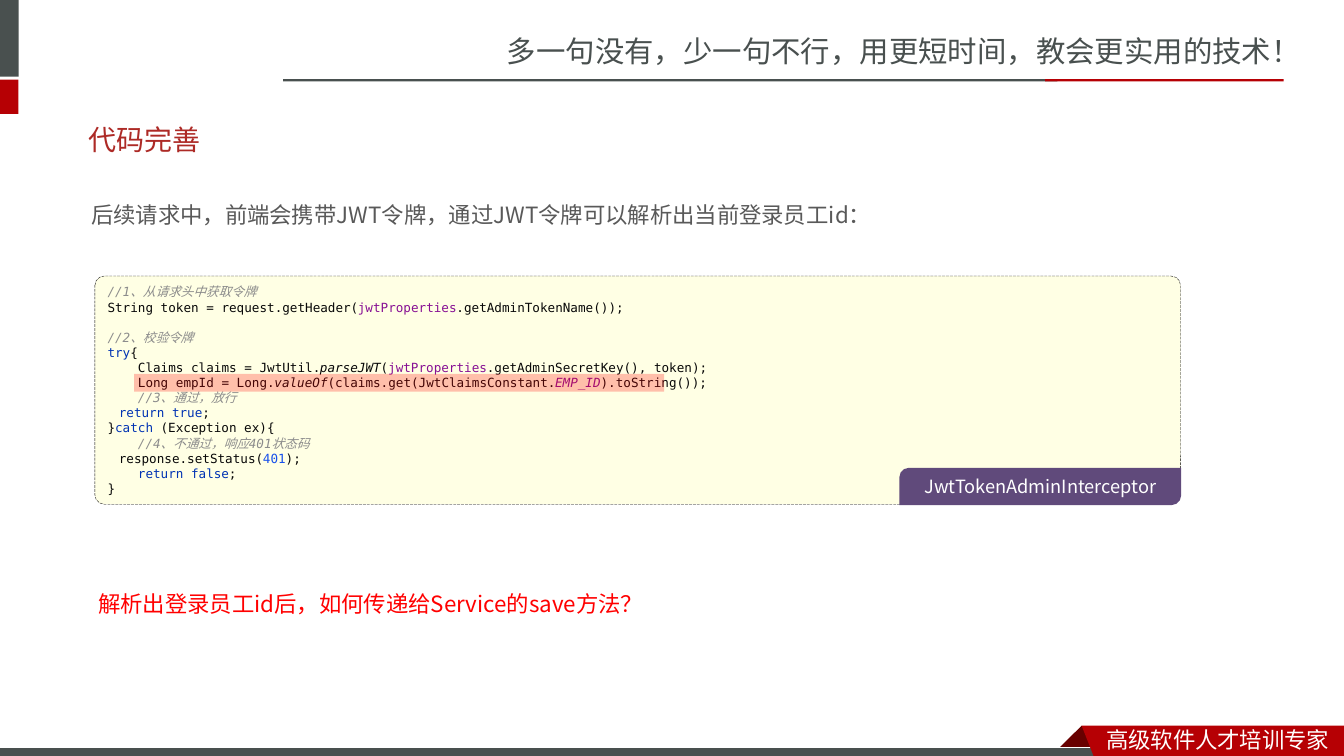
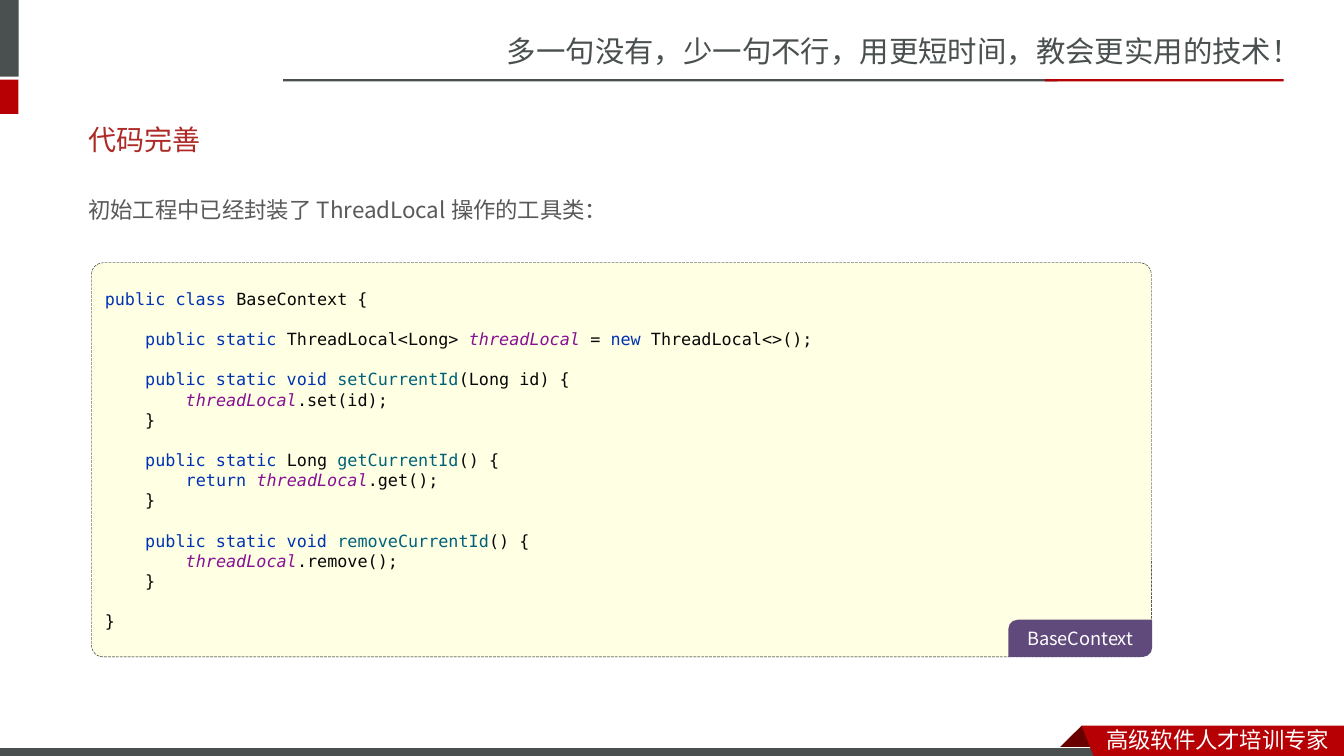
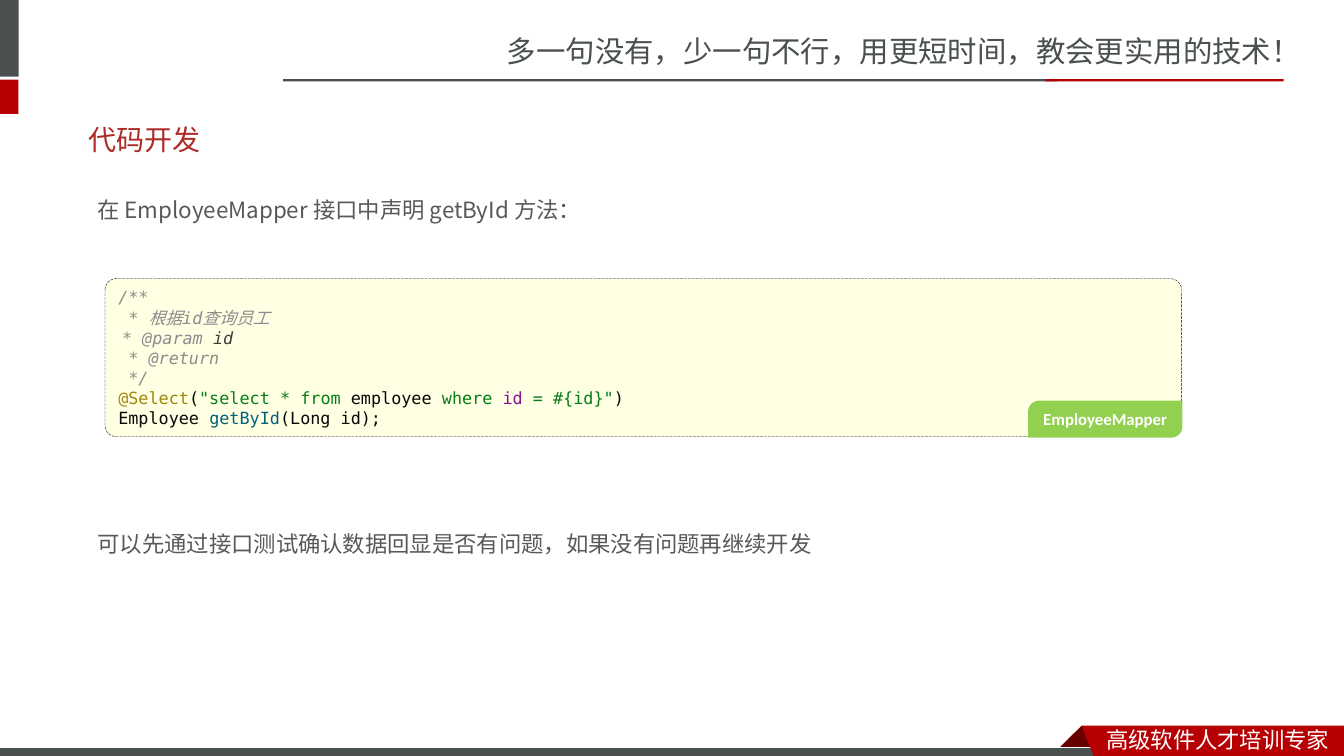
from dataclasses import dataclass

from lxml import etree
from pptx import Presentation
from pptx.dml.color import RGBColor as Color
from pptx.enum.dml import MSO_LINE as Dash
from pptx.enum.shapes import MSO_SHAPE as Preset
from pptx.enum.text import MSO_ANCHOR as Anchor, MSO_AUTO_SIZE as AutoSize, PP_ALIGN as Align
from pptx.oxml.ns import qn
from pptx.util import Pt


@dataclass(frozen=True)
class Theme:
    slate: str = "49504F"
    red: str = "B60004"
    fold: str = "680000"
    white: str = "FFFFFF"
    title: str = "AD2A26"
    body: str = "595959"
    alert: str = "FF0000"
    paper: str = "FFFFE4"
    black: str = "000000"
    code: str = "080808"
    comment: str = "8C8C8C"
    purple: str = "604A7B"
    green: str = "92D050"
    latin: str = "Calibri"
    mono: str = "DejaVu Sans Mono"
    cjk: str = "Noto Sans CJK SC"
    cjk_body: str = "Noto Sans CJK JP"
    header_size: float = 21
    title_size: float = 20
    body_size: float = 16
    tag_size: float = 13
    code_leading: float = 1.2


THEME = Theme()

CODE_STYLES = {
    "keyword": {"color": "0033B3"},
    "comment": {"color": THEME.comment, "italic": True},
    "note": {"color": THEME.comment, "italic": True, "font": THEME.cjk},
    "param": {"color": "3D3D3D", "italic": True},
    "field": {"color": "871094"},
    "constant": {"color": "871094", "italic": True},
    "method": {"color": "00627A"},
    "call": {"italic": True},
    "number": {"color": "1750EB"},
    "annotation": {"color": "9E880D"},
    "string": {"color": "067D17"},
    "star": {"color": "067D17", "italic": True},
}

INTERCEPTOR_CODE = """\
«comment://1»«note:、从请求头中获取令牌»
String token = request.getHeader(«field:jwtProperties».getAdminTokenName());

«comment://2»«note:、校验令牌»
«keyword:try»{
    Claims claims = JwtUtil.«call:parseJWT»(«field:jwtProperties».getAdminSecretKey(), token);
    Long empId = Long.«call:valueOf»(claims.get(JwtClaimsConstant.«constant:EMP_ID»).toString());
    «comment://3»«note:、通过，放行»
«note:    »«keyword:return true»;
}«keyword:catch »(Exception ex){
    «comment://4»«note:、不通过，响应»«comment:401»«note:状态码»
«note:    »response.setStatus(«number:401»);
    «keyword:return false»;
}"""

CONTEXT_CODE = """\
«keyword:public class »BaseContext {

    «keyword:public static »ThreadLocal<Long> «constant:threadLocal »= «keyword:new »ThreadLocal<>();

    «keyword:public static void »«method:setCurrentId»(Long id) {
        «constant:threadLocal».set(id);
    }

    «keyword:public static »Long «method:getCurrentId»() {
        «keyword:return »«constant:threadLocal».get();
    }

    «keyword:public static void »«method:removeCurrentId»() {
        «constant:threadLocal».remove();
    }

}"""

MAPPER_CODE = """\
«comment:/**»
«comment: * »«note:根据»«comment:id»«note:查询员工»
«note: »«comment:* @param »«param:id»
«param: »«comment:* @return»
«comment: */»
«annotation:@Select»(«string:"select »«star:* »«string:from »employee «string:where »«field:id »«string:= #{id}"»)
Employee «method:getById»(Long id);"""


def add_span(para, text, *, font, size, color, bold=False, italic=False):
    span = para.add_run()
    span.text = text
    span.font.name = font
    span.font.size = Pt(size)
    span.font.bold = bold
    span.font.italic = italic
    span.font.color.rgb = Color.from_string(color)
    east_asian = etree.SubElement(span._r.get_or_add_rPr(), qn("a:ea"))
    east_asian.set("typeface", font)


def write_text(shape, text, *, align=Align.LEFT, anchor=Anchor.TOP, spacing=1.0, **style):
    frame = shape.text_frame
    frame.word_wrap = True
    frame.auto_size = AutoSize.NONE
    frame.vertical_anchor = anchor
    para = frame.paragraphs[0]
    para.alignment = align
    para.line_spacing = spacing
    add_span(para, text, **style)


def add_text(page, text, at, **style):
    box = page.shapes.add_textbox(*map(Pt, at))
    write_text(box, text, **style)
    return box


def paint(shape, fill, line=None, width=0.75):
    shape.shadow.inherit = False
    shape.fill.solid()
    shape.fill.fore_color.rgb = Color.from_string(fill)
    if line:
        shape.line.color.rgb = Color.from_string(line)
        shape.line.width = Pt(width)
    else:
        shape.line.fill.background()
    return shape


def add_block(page, at, fill, preset=Preset.RECTANGLE, **outline):
    return paint(page.shapes.add_shape(preset, *map(Pt, at)), fill, **outline)


def add_outline(page, points, fill):
    corners = [(Pt(x), Pt(y)) for x, y in points]
    builder = page.shapes.build_freeform(*corners[0], scale=1.0)
    builder.add_line_segments(corners[1:], close=True)
    return paint(builder.convert_to_shape(), fill)


def add_code(page, code, at, *, size, radius):
    box = add_block(page, at, THEME.paper, Preset.ROUNDED_RECTANGLE, line=THEME.black, width=0.25)
    box.adjustments[0] = radius / min(at[2:])
    box.line.dash_style = Dash.LONG_DASH
    frame = box.text_frame
    frame.word_wrap = True
    frame.vertical_anchor = Anchor.MIDDLE
    leading = size * THEME.code_leading
    plain_style = {"font": THEME.mono, "size": size, "color": THEME.code}
    para, gap = frame.paragraphs[0], 0
    for number, line in enumerate(code.split("\n")):
        if not line:
            gap += leading
            continue
        if number:
            para = frame.add_paragraph()
            para.space_before = Pt(gap)
        gap = 0
        para.alignment = Align.LEFT
        para.line_spacing = Pt(leading)
        for chunk in line.split("«"):
            marked, _, plain = chunk.rpartition("»")
            if marked:
                name, text = marked.split(":", 1)
                add_span(para, text, **{**plain_style, **CODE_STYLES[name]})
            if plain:
                add_span(para, plain, **plain_style)


def add_tag(page, text, at, fill, *, radius=6.8, **style):
    tag = add_block(page, at, fill, Preset.ROUND_2_DIAG_RECTANGLE)
    tag.adjustments[0] = radius / at[3]
    tag.adjustments[1] = 0
    frame = tag.text_frame
    frame.margin_left = frame.margin_right = frame.margin_top = frame.margin_bottom = 0
    write_text(tag, text, align=Align.CENTER, anchor=Anchor.MIDDLE, color=THEME.white, **style)


def add_highlight(page, at, fill, opacity):
    block = add_block(page, at, fill)
    color = block.fill._xPr.find(qn("a:solidFill"))[0]
    etree.SubElement(color, qn("a:alpha")).set("val", str(opacity * 1000))


def add_body(page, text, at, *, color=THEME.body, spacing=1.5):
    add_text(page, text, at, font=THEME.cjk_body, size=THEME.body_size, color=color, spacing=spacing)


def build_frame(layout, page):
    frame_parts = [
        add_text(page, "多一句没有，少一句不行，用更短时间，教会更实用的技术！", (355, 20, 605, 34),
                 font=THEME.cjk, size=THEME.header_size, color=THEME.slate),
        add_block(page, (0, 0, 13.4, 54.7), THEME.slate),
        add_block(page, (0, 56.9, 13.2, 24.5), THEME.red),
        add_block(page, (202.3, 56.6, 553, 1.6), THEME.slate),
        add_block(page, (746.6, 56.6, 170.4, 1.6), THEME.red),
        add_outline(page, [(772.6, 518.4), (788.4, 534.2), (787.7, 535), (757.4, 535), (756.7, 534.2)],
                    THEME.fold),
        add_block(page, (-0.7, 533.8, 792, 8.6), THEME.slate, line=THEME.white),
        add_outline(page, [(772.6, 518.4), (960, 518.4), (960, 542.6), (782, 542.2)], THEME.red),
        add_text(page, "高级软件人才培训专家", (783, 514.8, 177, 26.6),
                 font=THEME.cjk, size=THEME.body_size, color=THEME.white),
    ]
    for part in frame_parts:
        layout.shapes.element.append(part.element)
    title = layout.placeholders[0]
    title.left, title.top, title.width, title.height = map(Pt, (56, 79, 842, 41))


def start_page(page, title):
    write_text(page.shapes.title, title, anchor=Anchor.MIDDLE,
               font=THEME.latin, size=THEME.title_size, color=THEME.title)
    return page


def build_interceptor(page):
    start_page(page, "代码完善")
    add_body(page, "后续请求中，前端会携带JWT令牌，通过JWT令牌可以解析出当前登录员工id：",
             (58, 121, 730, 40), spacing=2.0)
    add_code(page, INTERCEPTOR_CODE, (67.8, 197.2, 775.5, 163), size=9, radius=6.7)
    add_tag(page, "JwtTokenAdminInterceptor", (642.4, 334.2, 201.3, 26.6), THEME.purple,
            font=THEME.cjk_body, size=THEME.tag_size)
    add_highlight(page, (95.8, 267, 378.6, 12.8), THEME.alert, 25)
    add_body(page, "解析出登录员工id后，如何传递给Service的save方法？",
             (63, 399, 544, 40), color=THEME.alert, spacing=2.0)


def build_context(page):
    start_page(page, "代码完善")
    add_body(page, "初始工程中已经封装了 ThreadLocal 操作的工具类：", (56, 126.7, 867, 33))
    add_code(page, CONTEXT_CODE, (65.4, 187.7, 757, 281.5), size=12, radius=8.2)
    add_tag(page, "BaseContext", (720.2, 442.7, 102.8, 26.6), THEME.purple,
            font=THEME.cjk_body, size=THEME.tag_size)


def build_mapper(page):
    start_page(page, "代码开发")
    add_body(page, "在 EmployeeMapper 接口中声明 getById 方法：", (62.6, 126.7, 822, 33))
    add_code(page, MAPPER_CODE, (75, 199, 769, 113), size=12, radius=8.2)
    add_tag(page, "EmployeeMapper", (734.4, 286.2, 110.2, 26.4), THEME.green, radius=7.8,
            font=THEME.latin, size=12, bold=True)
    add_body(page, "可以先通过接口测试确认数据回显是否有问题，如果没有问题再继续开发", (62.6, 365.8, 822, 33))


def main():
    deck = Presentation()
    deck.slide_width, deck.slide_height = Pt(960), Pt(540)
    layout = deck.slide_layouts[5]
    builders = (build_interceptor, build_context, build_mapper)
    pages = [deck.slides.add_slide(layout) for _ in builders]
    build_frame(layout, pages[0])
    for build, page in zip(builders, pages):
        build(page)
    deck.save("out.pptx")


if __name__ == "__main__":
    main()
